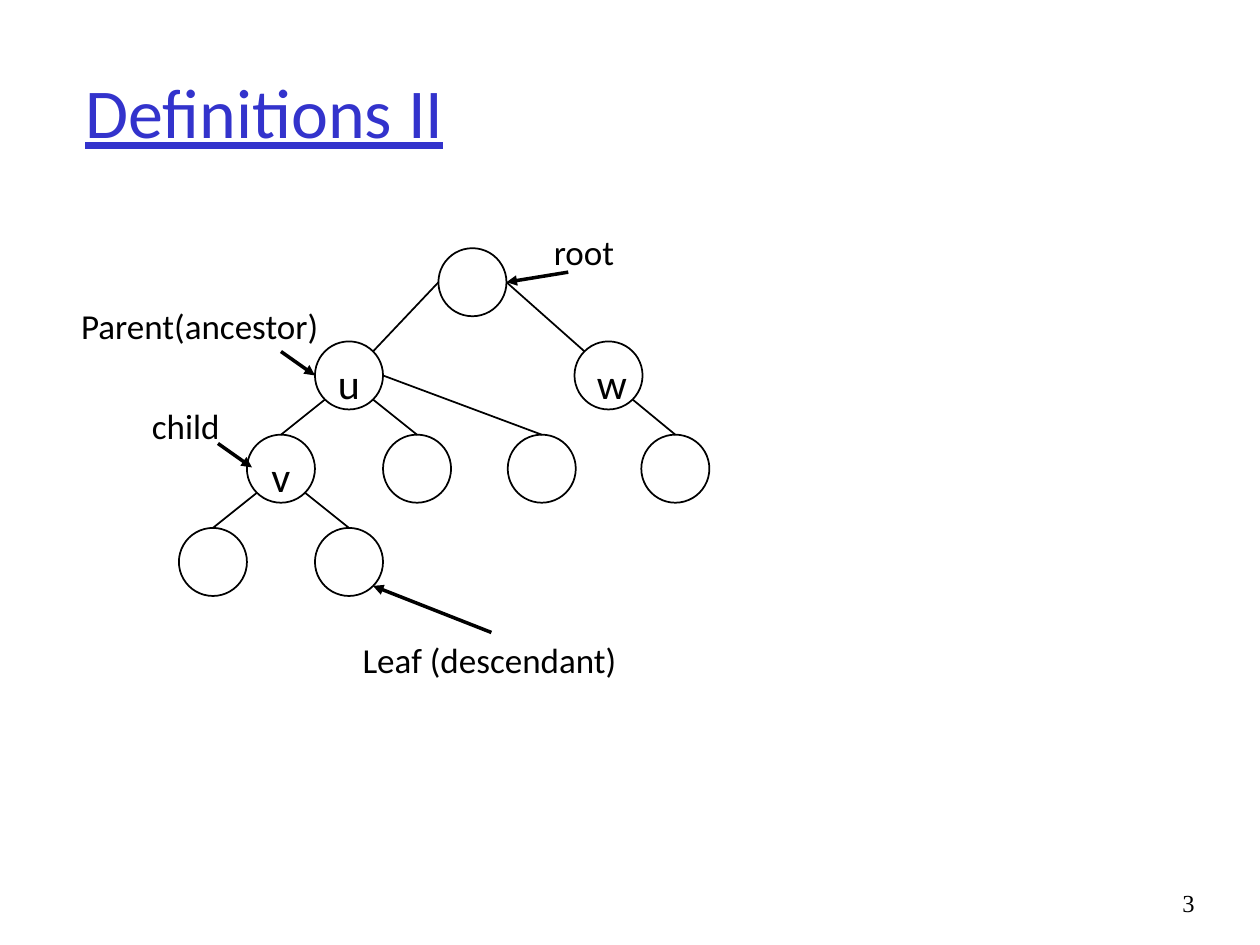
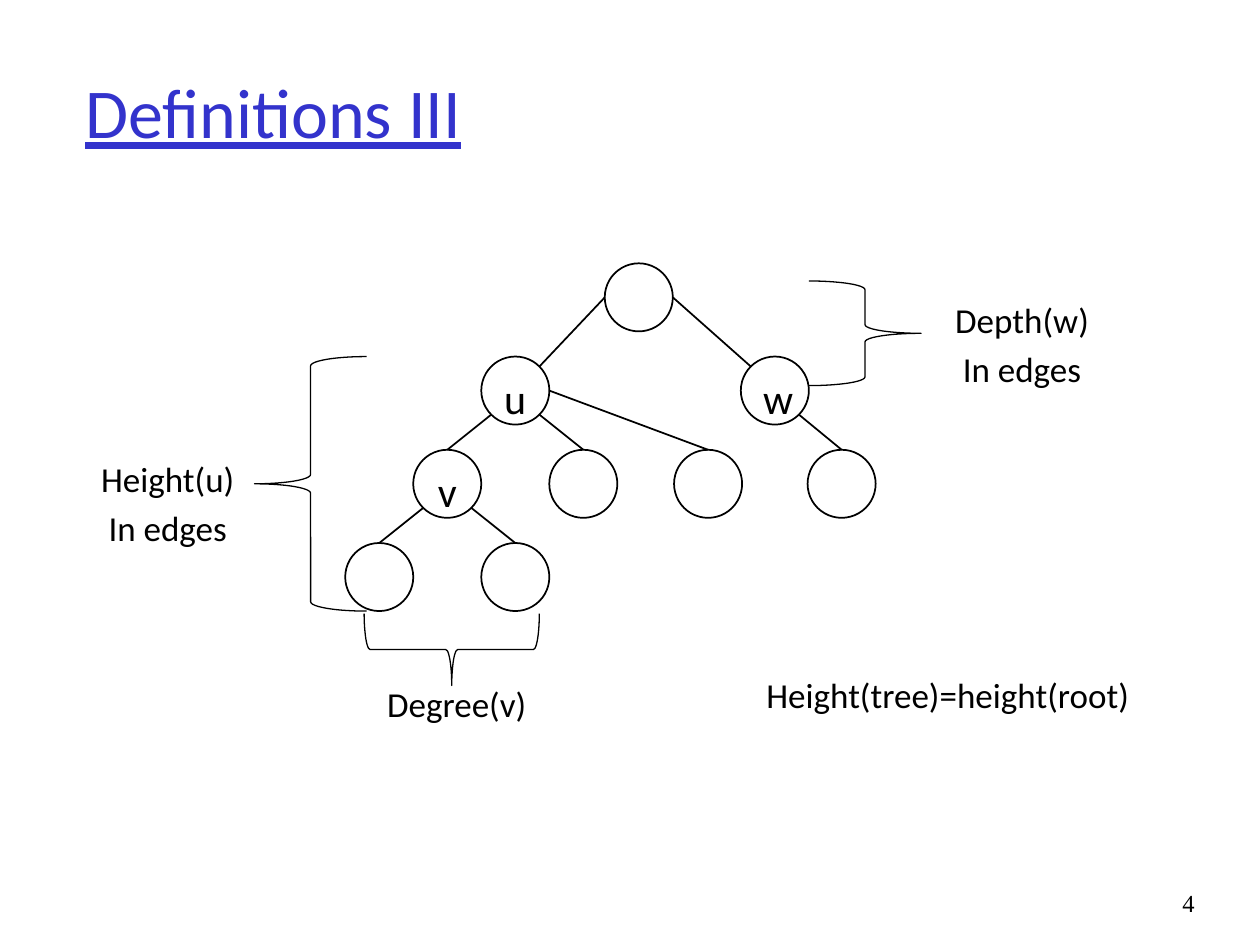
from dataclasses import dataclass
from math import sqrt

from lxml.etree import SubElement
from pptx import Presentation
from pptx.dml.color import RGBColor
from pptx.enum.shapes import MSO_CONNECTOR, MSO_SHAPE
from pptx.enum.text import MSO_ANCHOR, PP_ALIGN
from pptx.oxml.ns import qn
from pptx.util import Inches, Pt


@dataclass(frozen=True)
class Theme:
    ink: RGBColor = RGBColor(0x00, 0x00, 0x00)
    title_color: RGBColor = RGBColor(0x33, 0x33, 0xCC)
    body_font: str = "Calibri"
    number_font: str = "Times New Roman"
    title_size: int = 40
    node_size: int = 24
    label_size: int = 20
    number_size: int = 14
    edge_width: float = 1
    arrow_width: float = 2
    brace_width: float = 0.75


THEME = Theme()

# Tree geometry: node centres by name, on evenly spaced levels
RADIUS = 0.27
LEVELS = [2.24 + 0.74 * level for level in range(4)]
NODES = {
    "root": (3.75, LEVELS[0]),
    "u": (2.77, LEVELS[1]),
    "w": (4.83, LEVELS[1]),
    "v": (2.23, LEVELS[2]),
    "u middle": (3.31, LEVELS[2]),
    "u right": (4.30, LEVELS[2]),
    "w child": (5.36, LEVELS[2]),
    "left leaf": (1.69, LEVELS[3]),
    "right leaf": (2.77, LEVELS[3]),
}
LETTERED = ("u", "v", "w")

# Points on a node's rim, in units of the radius
DIAGONAL = sqrt(0.5)
RIM = {
    "top": (0, -1),
    "left": (-1, 0),
    "right": (1, 0),
    "top left": (-DIAGONAL, -DIAGONAL),
    "top right": (DIAGONAL, -DIAGONAL),
    "bottom left": (-DIAGONAL, DIAGONAL),
    "bottom right": (DIAGONAL, DIAGONAL),
}
EDGES = [
    ("root", "left", "u", "top right"),
    ("root", "right", "w", "top left"),
    ("u", "bottom left", "v", "top"),
    ("u", "bottom right", "u middle", "top"),
    ("u", "right", "u right", "top"),
    ("w", "bottom right", "w child", "top"),
    ("v", "bottom left", "left leaf", "top"),
    ("v", "bottom right", "right leaf", "top"),
]


def write(shape, lines, size, color=THEME.ink, font=THEME.body_font,
          align=PP_ALIGN.CENTER, anchor=MSO_ANCHOR.TOP, underline=None):
    frame = shape.text_frame
    frame.word_wrap = True
    frame.vertical_anchor = anchor
    for index, line in enumerate(lines):
        paragraph = frame.add_paragraph() if index else frame.paragraphs[0]
        paragraph.text = line
        paragraph.alignment = align
        if index:
            paragraph.space_before = Pt(0.2 * size)
        paragraph.font.name = font
        paragraph.font.size = Pt(size)
        paragraph.font.color.rgb = color
        paragraph.font.underline = underline


def add_text(slide, text, box, **style):
    shape = slide.shapes.add_textbox(*map(Inches, box))
    write(shape, [text], **style)


def add_outline(slide, preset, box, width=None):
    """Add an unfilled preset shape, without a line if no width is given."""
    shape = slide.shapes.add_shape(preset, *map(Inches, box))
    shape.shadow.inherit = False
    shape.fill.background()
    if width is None:
        shape.line.fill.background()
    else:
        shape.line.color.rgb = THEME.ink
        shape.line.width = Pt(width)
    return shape


def add_label(slide, lines, box):
    shape = add_outline(slide, MSO_SHAPE.ROUND_1_RECTANGLE, box)
    write(shape, lines, THEME.label_size)


def add_brace(slide, box, rotation=0):
    brace = add_outline(slide, MSO_SHAPE.LEFT_BRACE, box, THEME.brace_width)
    brace.rotation = rotation


def add_line(slide, start, end, width):
    line = slide.shapes.add_connector(
        MSO_CONNECTOR.STRAIGHT, *map(Inches, (*start, *end)))
    line.line.color.rgb = THEME.ink
    line.line.width = Pt(width)
    SubElement(line._element.spPr, qn("a:effectLst"))
    return line


def add_arrow(slide, start, end):
    arrow = add_line(slide, start, end, THEME.arrow_width)
    SubElement(arrow.line._get_or_add_ln(), qn("a:tailEnd"), type="triangle")


def add_tree(slide, shift_x=0, shift_y=0):
    centres = {name: (x + shift_x, y + shift_y) for name, (x, y) in NODES.items()}

    def rim_point(name, side):
        return [centre + RADIUS * part for centre, part in zip(centres[name], RIM[side])]

    for name, (x, y) in centres.items():
        box = (x - RADIUS, y - RADIUS, 2 * RADIUS, 2 * RADIUS)
        node = add_outline(slide, MSO_SHAPE.FLOWCHART_CONNECTOR, box, THEME.edge_width)
        if name in LETTERED:
            write(node, [name], THEME.node_size)
    for parent, parent_side, child, child_side in EDGES:
        add_line(slide, rim_point(parent, parent_side), rim_point(child, child_side),
                 THEME.edge_width)


def add_base_slide(presentation, title, number):
    slide = presentation.slides.add_slide(presentation.slide_layouts[6])
    add_text(slide, title, (0.58, 0.25, 8.5, 1.25), size=THEME.title_size,
             color=THEME.title_color, align=PP_ALIGN.LEFT,
             anchor=MSO_ANCHOR.MIDDLE, underline=True)
    add_text(slide, str(number), (9.08, 7, 0.5, 0.5), size=THEME.number_size,
             font=THEME.number_font, align=PP_ALIGN.RIGHT)
    return slide


def add_node_roles(presentation):
    slide = add_base_slide(presentation, "Definitions II", 3)
    add_tree(slide)
    # Each role: its label, the label's box, and the arrow to the node
    roles = [
        ("Leaf (descendant)", (2.77, 5.02, 2.25, 0.41), (3.9, 5.02), (2.96, 4.65)),
        ("root", (4.09, 1.78, 1.11, 0.41), (4.51, 2.16), (4.02, 2.24)),
        ("Parent(ancestor)", (0.5, 2.37, 2.19, 0.41), (2.23, 2.79), (2.5, 2.98)),
        ("child", (0.93, 3.16, 1.11, 0.41), (1.73, 3.52), (2, 3.71)),
    ]
    for text, box, start, end in roles:
        add_label(slide, [text], box)
        add_arrow(slide, start, end)


def add_tree_measures(presentation):
    slide = add_base_slide(presentation, "Definitions III", 4)
    add_tree(slide, 1.32, 0.12)
    # Height of u
    add_brace(slide, (2.02, 2.83, 0.89, 2.02))
    add_label(slide, ["Height(u)", "In edges"], (0.69, 3.58, 1.33, 0.95))
    # Depth of w
    add_brace(slide, (6.42, 2.23, 0.89, 0.83), 180)
    add_label(slide, ["Depth(w)", "In edges"], (7.47, 2.32, 1.33, 0.95))
    # Degree of v
    add_brace(slide, (3.3, 4.46, 0.57, 1.39), 270)
    add_label(slide, ["Degree(v)"], (2.92, 5.37, 1.44, 0.62))
    # Height of the whole tree
    add_label(slide, ["Height(tree)=height(root)"], (5.89, 5.3, 3.29, 0.54))


def main():
    presentation = Presentation()
    presentation.slide_width = Inches(10)
    presentation.slide_height = Inches(7.5)
    add_node_roles(presentation)
    add_tree_measures(presentation)
    presentation.save("out.pptx")


if __name__ == "__main__":
    main()
